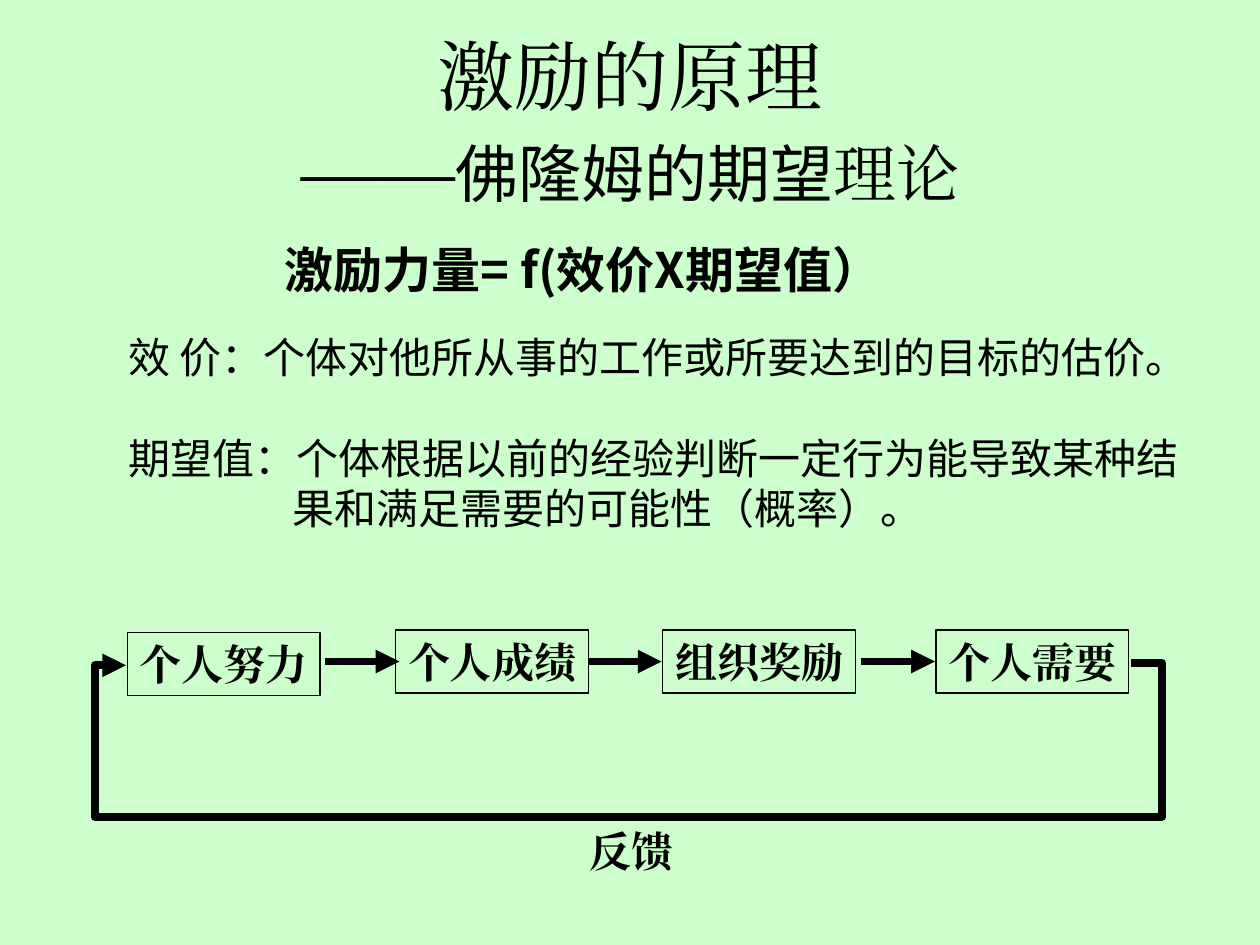
from lxml import etree
from pptx import Presentation
from pptx.dml.color import RGBColor
from pptx.enum.shapes import MSO_CONNECTOR, MSO_SHAPE
from pptx.enum.text import MSO_ANCHOR, MSO_AUTO_SIZE, PP_ALIGN
from pptx.oxml.ns import qn
from pptx.util import Inches, Pt

BLACK = RGBColor(0x00, 0x00, 0x00)
MINT = RGBColor(0xCC, 0xFF, 0xCC)
SANS, SERIF = "Noto Sans CJK SC", "Times New Roman"
RECT = MSO_SHAPE.RECTANGLE
STRAIGHT, ELBOW = MSO_CONNECTOR.STRAIGHT, MSO_CONNECTOR.ELBOW
MIDDLE, LEFT, CENTER = MSO_ANCHOR.MIDDLE, PP_ALIGN.LEFT, PP_ALIGN.CENTER
GROW, FIXED = MSO_AUTO_SIZE.SHAPE_TO_FIT_TEXT, MSO_AUTO_SIZE.NONE
WIDTH, HEIGHT = Inches(10), Inches(7.5)
COLUMNS, ROWS = 100, 75
BOX_WIDTH, BOX_HEIGHT = 15.3, 5


def grid(*lengths):
    """Turn alternating column and row counts into slide lengths."""
    units = (WIDTH / COLUMNS, HEIGHT / ROWS)
    return [round(n * units[i % 2]) for i, n in enumerate(lengths)]


def set_font(font, name, size, bold=False):
    """Style Latin and East Asian text alike."""
    font.name, font.size, font.bold = name, Pt(size), bold
    font.color.rgb = BLACK
    latin = font._rPr.find(qn("a:latin"))
    ea = etree.Element(qn("a:ea"), typeface=name)
    latin.addnext(ea)


def fill_text(s, lines, name, size, bold=False, wrap=False):
    """Write left-aligned lines into a shape and return its paragraphs."""
    tf = s.text_frame
    tf.word_wrap, tf.auto_size = wrap, GROW
    tf.text = "\n".join(lines)
    for p in tf.paragraphs:
        p.alignment = LEFT
        set_font(p.font, name, size, bold)
    return tf.paragraphs


def add_text(slide, at, lines, name, size, bold=False, wrap=False):
    """Add a text box and return its paragraphs."""
    s = slide.shapes.add_textbox(*grid(*at))
    return fill_text(s, lines, name, size, bold, wrap)


def add_title(slide):
    """Add the centred two-line title."""
    s = slide.shapes.add_textbox(*grid(2.5, 2.5, 95, 14.2))
    tf = s.text_frame
    tf.word_wrap, tf.auto_size, tf.vertical_anchor = True, FIXED, MIDDLE
    p = tf.paragraphs[0]
    p.alignment = CENTER
    runs = [("激励的原理\v——", SERIF, 44), ("佛隆姆的期望", SANS, 36), ("理论", SERIF, 36)]
    for text, name, size in runs:
        for i, part in enumerate(text.split("\v")):
            if i:
                p.add_line_break()
            r = p.add_run()
            r.text = part
            set_font(r.font, name, size)


def add_box(slide, left, top, text):
    """Add an outlined step of the process."""
    s = slide.shapes.add_shape(RECT, *grid(left, top, BOX_WIDTH, BOX_HEIGHT))
    s.shadow.inherit = False
    s.fill.background()
    s.line.color.rgb, s.line.width = BLACK, Pt(0.75)
    fill_text(s, [text], SERIF, 24, bold=True)


def add_arrow(slide, kind, ends):
    """Add a thick connector with an arrowhead at its end."""
    s = slide.shapes.add_connector(kind, *grid(*ends))
    s.line.color.rgb, s.line.width = BLACK, Pt(4.5)
    etree.SubElement(s.line._get_or_add_ln(), qn("a:tailEnd"), type="triangle")
    etree.SubElement(s._element.spPr, qn("a:effectLst"))
    return s


def add_feedback(slide, ends, right, bottom, left):
    """Add the arrow that runs back below the steps."""
    x1, y1, x2, y2 = ends
    s = add_arrow(slide, ELBOW, ends)
    geom = s._element.spPr.find(qn("a:prstGeom"))
    geom.set("prst", "bentConnector5")
    guides = geom.get_or_add_avLst()
    shares = [(right - x1) / (x2 - x1), (bottom - y1) / (y2 - y1), (left - x1) / (x2 - x1)]
    for i, share in enumerate(shares, 1):
        etree.SubElement(guides, qn("a:gd"), name=f"adj{i}", fmla=f"val {round(share * 100000)}")


def main():
    """Build the expectancy theory slide."""
    prs = Presentation()
    prs.slide_width, prs.slide_height = WIDTH, HEIGHT
    slide = prs.slides.add_slide(prs.slide_layouts[6])
    slide.background.fill.solid()
    slide.background.fill.fore_color.rgb = MINT

    add_title(slide)
    add_text(slide, (21.6, 18.5, 54.2, 5.7), ["激励力量= f(效价X期望值）"], SANS, 28, bold=True)
    definitions = add_text(slide, (9.2, 25.8, 88.6, 17), [
        "效 价：个体对他所从事的工作或所要达到的目标的估价。",
        "期望值：个体根据以前的经验判断一定行为能导致某种结",
        "果和满足需要的可能性（概率）。",
    ], SANS, 24)
    definitions[1].space_before = Pt(29)
    definitions[2]._p.get_or_add_pPr().set("marL", str(Inches(1.3)))

    steps = [(10.1, 50.2, "个人努力"), (31.4, 50, "个人成绩"),
             (52.6, 50, "组织奖励"), (74.3, 50, "个人需要")]
    for left, top, text in steps:
        add_box(slide, left, top, text)
    for start, end in [(25.8, 31.7), (46.7, 52.5), (68.3, 74.2)]:
        add_arrow(slide, STRAIGHT, (start, 52.5, end, 52.5))
    add_feedback(slide, (89.8, 52.6, 10, 52.8), right=92.2, bottom=64.8, left=7.5)
    add_text(slide, (45.8, 65, 9.2, 5), ["反馈"], SERIF, 24, bold=True, wrap=True)
    prs.save("out.pptx")


if __name__ == "__main__":
    main()
